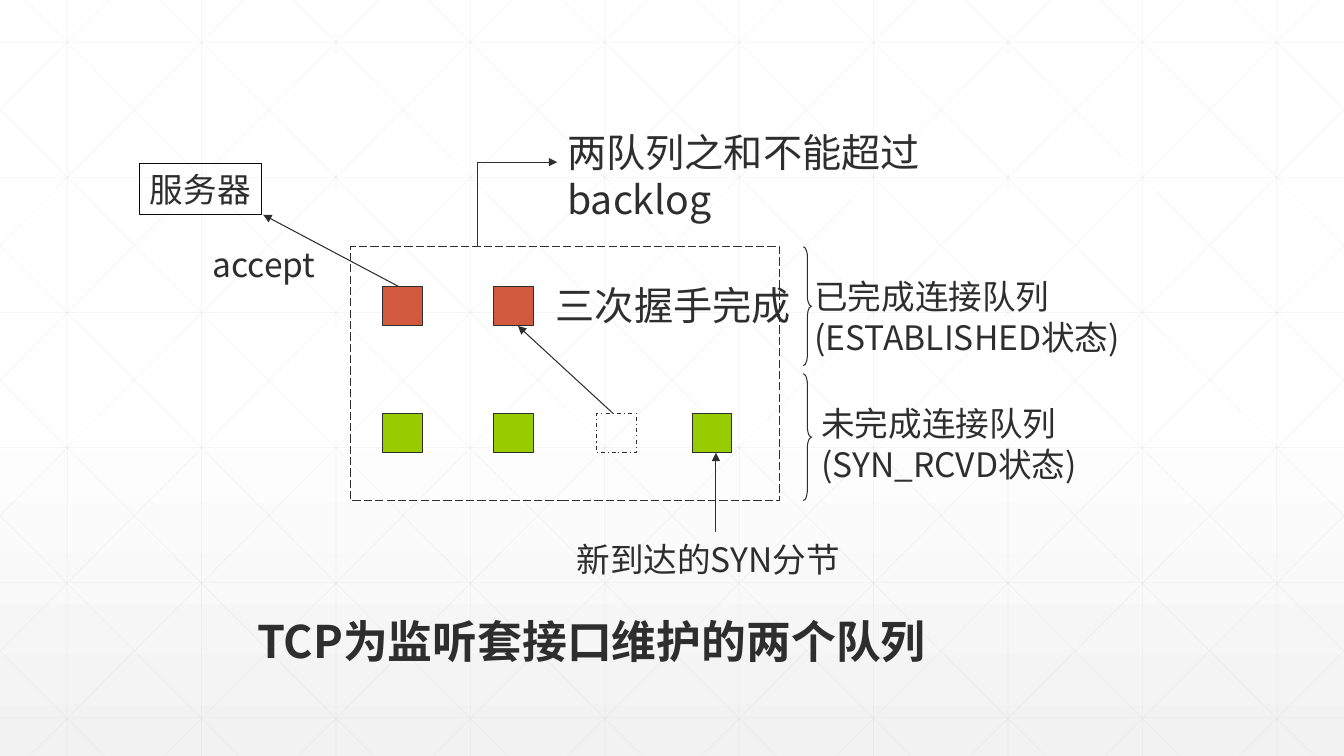
from dataclasses import dataclass
from typing import Optional

from lxml.etree import SubElement
from pptx import Presentation
from pptx.dml.color import RGBColor
from pptx.enum.dml import MSO_LINE
from pptx.enum.shapes import MSO_CONNECTOR, MSO_SHAPE
from pptx.enum.text import MSO_ANCHOR, MSO_AUTO_SIZE, PP_ALIGN
from pptx.oxml.ns import qn
from pptx.util import Pt

W, H = 960, 540
FONT = "Noto Sans CJK SC"
COLORS = {"ink": "2D2E2D", "border": "080808", "grid": "D9D9D9", "done": "D15A3E",
          "pending": "99CC00", "top": "FFFFFF", "bottom": "F2F2F2"}


@dataclass
class Box:
    x: float
    y: float
    w: float
    h: float
    fill: Optional[str] = None
    line: str = "ink"
    dash: Optional[MSO_LINE] = None
    kind: MSO_SHAPE = MSO_SHAPE.RECTANGLE
    adj: Optional[float] = None


@dataclass
class Line:
    x1: float
    y1: float
    x2: float
    y2: float
    arrow: bool = True


@dataclass
class Label:
    x: float
    y: float
    w: float
    h: float
    lines: tuple
    size: float = 24
    align: PP_ALIGN = PP_ALIGN.CENTER
    bold: bool = False
    wrap: bool = True


def rgb(name: str) -> RGBColor:
    return RGBColor.from_string(COLORS[name])


def add_box(s, b: Box):
    sp = s.shapes.add_shape(b.kind, Pt(b.x), Pt(b.y), Pt(b.w), Pt(b.h))
    sp.shadow.inherit = False
    if b.fill:
        sp.fill.solid()
        sp.fill.fore_color.rgb = rgb(b.fill)
    else:
        sp.fill.background()
    sp.line.color.rgb = rgb(b.line)
    sp.line.width = Pt(0.75)
    if b.dash:
        sp.line.dash_style = b.dash
    if b.adj:
        sp.adjustments[0] = b.adj
    return sp


def add_line(s, ln: Line, color: str = "ink", width: float = 0.75, alpha: int = 100):
    cx = s.shapes.add_connector(MSO_CONNECTOR.STRAIGHT, Pt(ln.x1), Pt(ln.y1), Pt(ln.x2), Pt(ln.y2))
    cx.line.color.rgb = rgb(color)
    cx.line.width = Pt(width)
    sp_pr = cx._element.spPr
    SubElement(sp_pr, qn("a:effectLst"))
    if alpha < 100:
        clr = sp_pr.find(".//" + qn("a:srgbClr"))
        SubElement(clr, qn("a:alpha")).set("val", str(alpha * 1000))
    if ln.arrow:
        SubElement(cx.line._get_or_add_ln(), qn("a:tailEnd")).set("type", "triangle")


def write_text(tf, lines: tuple, size: float, align: PP_ALIGN, bold: bool = False, wrap: bool = True):
    tf.word_wrap = wrap
    tf.auto_size = MSO_AUTO_SIZE.SHAPE_TO_FIT_TEXT
    tf.vertical_anchor = MSO_ANCHOR.TOP
    for i, text in enumerate(lines):
        p = tf.add_paragraph() if i else tf.paragraphs[0]
        p.alignment = align
        r = p.add_run()
        r.text = text
        r.font.size, r.font.bold, r.font.name = Pt(size), bold, FONT
        r.font.color.rgb = rgb("ink")
        SubElement(r.font._element, qn("a:ea")).set("typeface", FONT)


def add_label(s, lb: Label):
    tb = s.shapes.add_textbox(Pt(lb.x), Pt(lb.y), Pt(lb.w), Pt(lb.h))
    write_text(tb.text_frame, lb.lines, lb.size, lb.align, bold=lb.bold, wrap=lb.wrap)


def diagonal(x0: float) -> Line:
    """Line falling to the right from (x0, 0), clipped to the slide."""
    run = 536.6
    slope = H / run
    x1, x2 = max(x0, 0), min(x0 + run, W)
    return Line(x1, (x1 - x0) * slope, x2, (x2 - x0) * slope, arrow=False)


def add_background(s):
    fill = s.background.fill
    fill.gradient()
    fill.gradient_angle = 270
    for stop, color, position in zip(fill.gradient_stops, ("top", "bottom"), (0.53, 1)):
        stop.color.rgb = rgb(color)
        stop.position = position
    grid = [Line(48 + 96 * i, 0, 48 + 96 * i, H, arrow=False) for i in range(10)]
    grid += [Line(0, 30.24 + 96.48 * i, W, 30.24 + 96.48 * i, arrow=False) for i in range(6)]
    falling = [diagonal(18 + 96 * i) for i in range(-5, 10)]
    grid += falling
    grid += [Line(W - d.x1, d.y1, W - d.x2, d.y2, arrow=False) for d in falling]
    for ln in grid:
        add_line(s, ln, color="grid", width=0.5, alpha=25)


SQUARE = 28.2
DONE_Y, PENDING_Y = 204.6, 295.2
COLUMNS = (273.4, 352.6, 426.2, 494.4)

BOXES = [Box(x, DONE_Y, SQUARE, SQUARE, "done") for x in COLUMNS[:2]]
BOXES += [Box(x, PENDING_Y, SQUARE, SQUARE, "pending") for x in COLUMNS[:2] + COLUMNS[3:]]
BOXES += [
    Box(COLUMNS[2], PENDING_Y, SQUARE, SQUARE, dash=MSO_LINE.DASH_DOT),
    Box(250.4, 176.2, 306.4, 181.4, dash=MSO_LINE.LONG_DASH),
    Box(573.8, 176.2, 5.8, 85, kind=MSO_SHAPE.RIGHT_BRACE, adj=1.26),
    Box(573.8, 267, 5.8, 90.6, kind=MSO_SHAPE.RIGHT_BRACE, adj=1.34),
]
SERVER = Box(99.4, 117, 87.4, 36, line="border")

LINES = [
    Line(437.8, 295.2, 370, 232.8),
    Line(341.4, 176.2, 341.4, 115.8, arrow=False),
    Line(341.4, 115.8, 398, 115.8),
    Line(511.4, 380, 511.4, 323.4),
    Line(284.6, 204.6, 188, 153.4),
]

LABELS = [
    Label(388.8, 197.2, 184.3, 41, ("三次握手完成",), 28, wrap=False),
    Label(398.2, 87.8, 289.4, 75, ("两队列之和不能超过backlog",), 28, PP_ALIGN.LEFT),
    Label(574.6, 193.8, 234.7, 65.5, ("已完成连接队列", "(ESTABLISHED状态)"), align=PP_ALIGN.LEFT),
    Label(579.6, 284.4, 204.5, 65.5, ("未完成连接队列", "(SYN_RCVD状态)"), align=PP_ALIGN.LEFT),
    Label(401.8, 381.6, 208, 36, ("新到达的SYN分节",)),
    Label(143.2, 170.6, 90.8, 36, ("accept",), wrap=False),
    Label(174.2, 434.8, 496.8, 46, ("TCP为监听套接口维护的两个队列",), 32, bold=True),
]


def main():
    prs = Presentation()
    prs.slide_width, prs.slide_height = Pt(W), Pt(H)
    s = prs.slides.add_slide(prs.slide_layouts[6])
    add_background(s)
    for b in BOXES:
        add_box(s, b)
    server = add_box(s, SERVER)
    write_text(server.text_frame, ("服务器",), 24, PP_ALIGN.CENTER, wrap=False)
    for ln in LINES:
        add_line(s, ln)
    for lb in LABELS:
        add_label(s, lb)
    prs.save("out.pptx")


if __name__ == "__main__":
    main()
